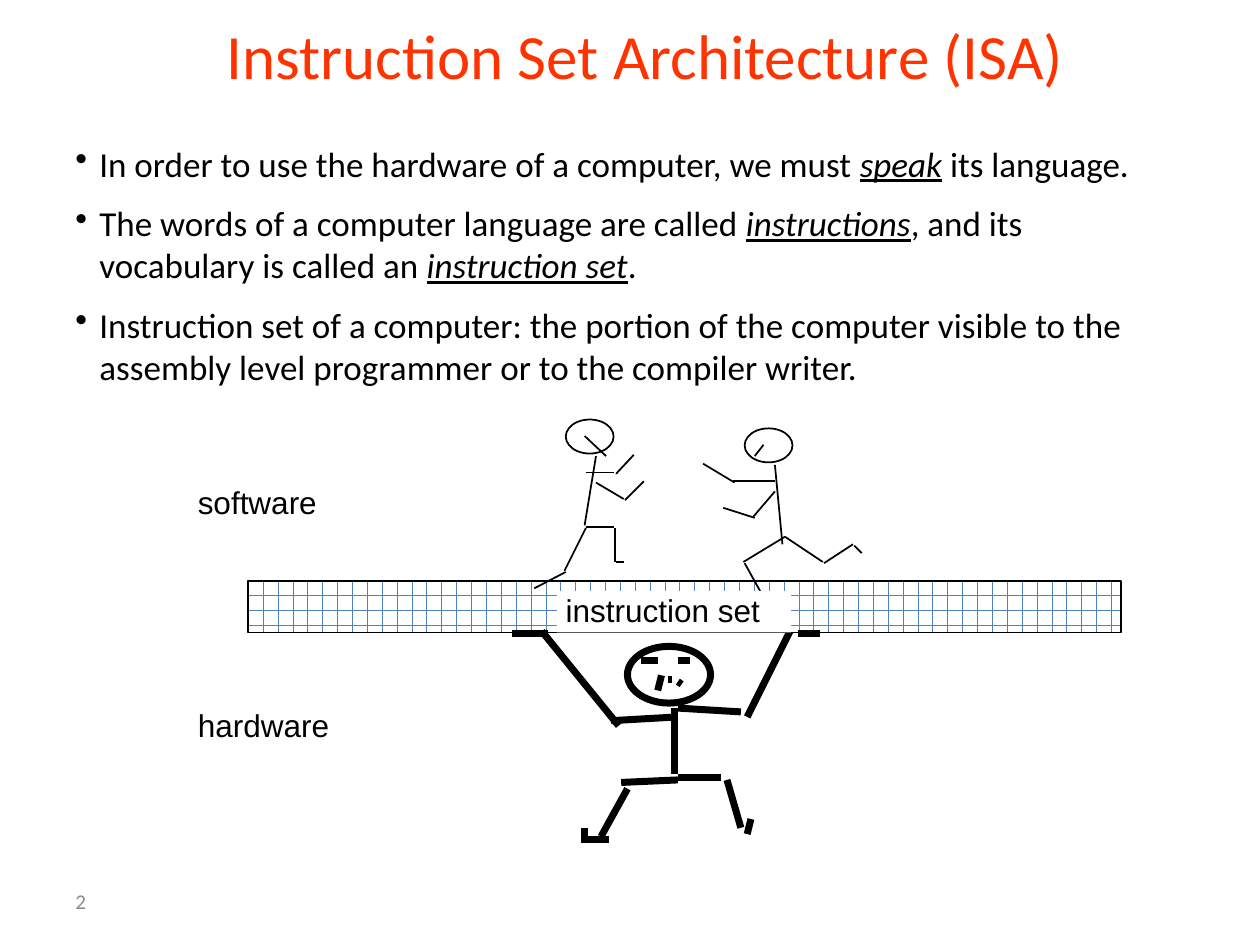
import pptx
import pptx.util
import pptx.dml.color
import pptx.enum.dml
import pptx.enum.shapes
import pptx.enum.text
import pptx.oxml
import pptx.oxml.ns
from pptx.util import Inches

COLORS = {"title": "FF3300", "ink": "000000", "number": "8C8C8C",
          "brick": "4F81BD", "paper": "FFFFFF"}

# Stick figures: head box, then line segments as (x1, y1, x2, y2)
LEFT_RUNNER_HEAD = (4.49, 3.33, 0.38, 0.27)
LEFT_RUNNER = [
    (4.73, 3.62, 4.64, 4.17), (4.65, 4.18, 4.87, 4.18),
    (4.88, 4.19, 4.88, 4.46), (4.89, 4.46, 4.95, 4.46),
    (4.65, 4.19, 4.48, 4.53), (4.49, 4.54, 4.24, 4.67),
    (4.73, 3.83, 4.95, 3.96), (4.96, 3.97, 5.11, 3.82),
    (4.65, 3.75, 4.87, 3.75), (4.89, 3.76, 5.03, 3.61),
    (4.81, 3.62, 4.64, 3.46),
]
RIGHT_RUNNER_HEAD = (5.91, 3.4, 0.38, 0.27)
RIGHT_RUNNER = [
    (6.15, 3.69, 6.21, 4.32), (6.23, 4.26, 5.9, 4.46),
    (5.91, 4.47, 6.06, 4.74), (6.23, 4.26, 6.53, 4.46),
    (6.54, 4.47, 6.77, 4.32), (6.78, 4.33, 6.84, 4.39),
    (6.15, 3.9, 5.98, 4.1), (5.99, 4.11, 5.74, 4.03),
    (6.15, 3.82, 5.82, 3.82), (5.83, 3.83, 5.58, 3.68),
    (5.99, 3.62, 6.06, 3.53),
]
CARRIER_HEAD = (4.98, 5.13, 0.66, 0.45)
CARRIER = [
    (5.22, 5.48, 5.25, 5.36), (5.3, 5.39, 5.33, 5.39),
    (5.38, 5.41, 5.41, 5.43), (5.38, 5.24, 5.48, 5.24),
    (5.22, 5.24, 5.09, 5.24), (4.64, 6.69, 4.64, 6.57),
    (5.35, 5.62, 5.35, 6.14), (5.38, 6.17, 5.72, 6.17),
    (5.77, 6.19, 5.88, 6.57), (5.93, 6.62, 5.96, 6.5),
    (5.38, 6.19, 4.93, 6.21), (4.98, 6.26, 4.77, 6.64),
    (4.83, 6.66, 4.62, 6.66), (5.38, 5.62, 5.88, 5.65),
    (5.93, 5.69, 6.27, 5.01), (6.33, 5.03, 6.51, 5.03),
    (5.38, 5.69, 4.85, 5.72), (4.91, 5.76, 4.3, 5.01),
    (4.35, 5.03, 4.06, 5.03),
]

# Each bullet is a list of (text, emphasized) runs
BULLETS = [
    [("In order to use the hardware of a computer, we must ", False),
     ("speak", True), (" its language.", False)],
    [("The words of a computer language are called ", False),
     ("instructions", True), (", and its vocabulary is called an ", False),
     ("instruction set", True), (".", False)],
    [("Instruction set of a computer: the portion of the computer visible to "
      "the assembly level programmer or to the compiler writer.", False)],
]


def rgb(name):
    return pptx.dml.color.RGBColor.from_string(COLORS[name])


def add_run(paragraph, text, size, font, color, emphasized=False):
    run = paragraph.add_run()
    run.text = text
    run.font.size = pptx.util.Pt(size)
    run.font.name = font
    run.font.color.rgb = rgb(color)
    if emphasized:
        run.font.italic = True
        run.font.underline = True


def add_text_box(slide, box, anchor=pptx.enum.text.MSO_ANCHOR.TOP):
    text_box = slide.shapes.add_textbox(*map(Inches, box))
    text_box.text_frame.word_wrap = True
    text_box.text_frame.vertical_anchor = anchor
    return text_box


def add_label(slide, box, text, spacing):
    label = add_text_box(slide, box)
    frame = label.text_frame
    frame.word_wrap = False
    frame.margin_left = frame.margin_right = Inches(0.07)
    frame.margin_top = frame.margin_bottom = Inches(0.03)
    frame.paragraphs[0].line_spacing = spacing
    add_run(frame.paragraphs[0], text, 18, "Arial", "ink")
    return label


def add_outlined(slide, shape_type, box, weight):
    shape = slide.shapes.add_shape(shape_type, *map(Inches, box))
    shape.shadow.inherit = False
    shape.fill.background()
    shape.line.color.rgb = rgb("ink")
    shape.line.width = pptx.util.Pt(weight)
    return shape


def add_figure(slide, head, segments, weight):
    add_outlined(slide, pptx.enum.shapes.MSO_SHAPE.OVAL, head, weight)
    for segment in segments:
        limb = slide.shapes.add_connector(
            pptx.enum.shapes.MSO_CONNECTOR.STRAIGHT, *map(Inches, segment))
        limb.line.color.rgb = rgb("ink")
        limb.line.width = pptx.util.Pt(weight)
        limb._element.spPr.append(pptx.oxml.parse_xml(
            f'<a:effectLst {pptx.oxml.ns.nsdecls("a")}/>'))


def add_bullets(slide, box, bullets):
    frame = add_text_box(slide, box).text_frame
    for index, runs in enumerate(bullets):
        paragraph = frame.add_paragraph() if index else frame.paragraphs[0]
        paragraph.space_before = pptx.util.Pt(10)
        properties = paragraph._p.get_or_add_pPr()
        properties.set("marL", str(Inches(0.19)))
        properties.set("indent", str(-Inches(0.19)))
        properties.append(pptx.oxml.parse_xml(
            f'<a:buChar {pptx.oxml.ns.nsdecls("a")} char="•"/>'))
        for text, emphasized in runs:
            add_run(paragraph, text, 20, "Calibri", "ink", emphasized)


def main():
    deck = pptx.Presentation()
    deck.slide_width, deck.slide_height = Inches(10), Inches(7.5)
    slide = deck.slides.add_slide(deck.slide_layouts[6])
    middle = pptx.enum.text.MSO_ANCHOR.MIDDLE

    # Page number and title
    number = add_text_box(slide, (0.5, 6.95, 2.33, 0.4), middle)
    add_run(number.text_frame.paragraphs[0], "2", 12, "Calibri", "number")
    title = add_text_box(slide, (0.91, 0.17, 8.42, 0.52), middle)
    heading = title.text_frame.paragraphs[0]
    heading.alignment = pptx.enum.text.PP_ALIGN.CENTER
    add_run(heading, "Instruction Set Architecture (ISA)", 36, "Calibri", "title")

    # Brick platform between software and hardware
    platform = add_outlined(slide, pptx.enum.shapes.MSO_SHAPE.RECTANGLE,
                            (1.97, 4.61, 6.93, 0.41), 1)
    platform.fill.patterned()
    platform.fill.pattern = pptx.enum.dml.MSO_PATTERN.HORIZONTAL_BRICK
    platform.fill.fore_color.rgb = rgb("brick")
    platform.fill.back_color.rgb = rgb("paper")

    # Software runs on top, hardware carries it
    add_figure(slide, LEFT_RUNNER_HEAD, LEFT_RUNNER, 1)
    add_figure(slide, RIGHT_RUNNER_HEAD, RIGHT_RUNNER, 1)
    add_figure(slide, CARRIER_HEAD, CARRIER, 4)

    # Labels
    interface = add_label(slide, (4.42, 4.69, 1.86, 0.33), "instruction set", 0.92)
    interface.fill.solid()
    interface.fill.fore_color.rgb = rgb("paper")
    add_label(slide, (1.5, 3.85, 1.17, 0.31), "software", 0.85)
    add_label(slide, (1.5, 5.62, 1.25, 0.31), "hardware", 0.85)

    # Explanation
    add_bullets(slide, (0.5, 1.08, 8.75, 2.6), BULLETS)

    deck.save("out.pptx")


if __name__ == "__main__":
    main()
